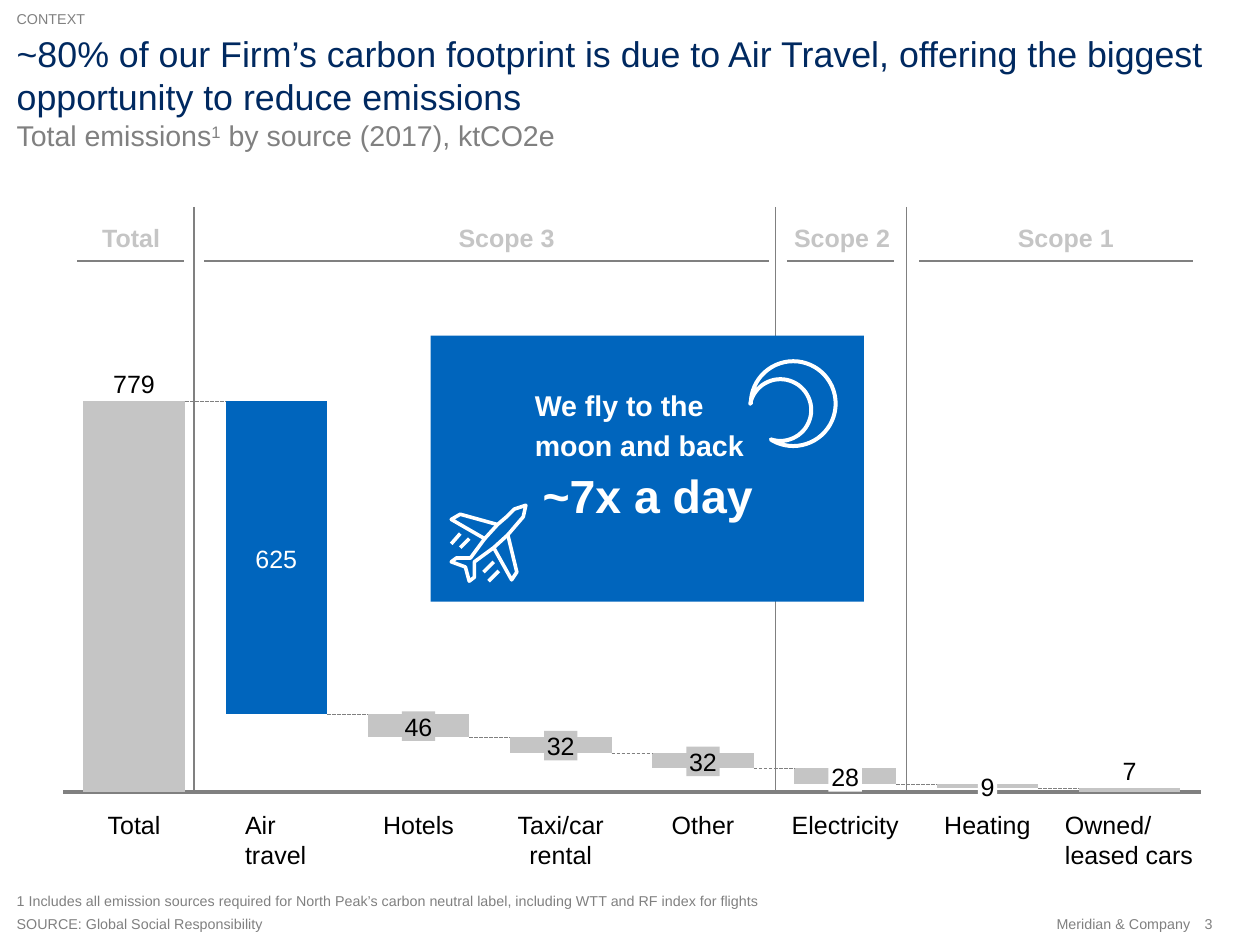
from math import cos, radians, sin
from pptx import Presentation
from pptx.chart.data import CategoryChartData
from pptx.dml.color import RGBColor
from pptx.enum.chart import XL_CHART_TYPE, XL_TICK_LABEL_POSITION, XL_TICK_MARK
from pptx.enum.dml import MSO_LINE
from pptx.enum.shapes import MSO_CONNECTOR, MSO_SHAPE
from pptx.enum.text import MSO_ANCHOR, PP_ALIGN
from pptx.oxml import parse_xml
from pptx.oxml.ns import nsdecls
from pptx.util import Inches, Pt

NAVY = RGBColor(0x00, 0x29, 0x60)
BLUE = RGBColor(0x00, 0x65, 0xBD)
GREY = RGBColor(0x80, 0x80, 0x80)
PALE = RGBColor(0xC5, 0xC5, 0xC5)
WHITE = RGBColor(0xFF, 0xFF, 0xFF)
BLACK = RGBColor(0x00, 0x00, 0x00)
FONT = "Arial"
LEFT, MID, RIGHT = PP_ALIGN.LEFT, PP_ALIGN.CENTER, PP_ALIGN.RIGHT

TITLE = ("~80% of our Firm’s carbon footprint is due to Air Travel, "
         "offering the biggest opportunity to reduce emissions")
NOTE = ("1 Includes all emission sources required for North Peak’s carbon "
        "neutral label, including WTT and RF index for flights")

# Text, place (left, top, width, height), size, colour, alignment
TEXTS = [
    ("CONTEXT", (0.13, 0.08, 2, 0.13), 8, GREY, LEFT),
    (TITLE, (0.13, 0.25, 9.47, 0.67), 20, NAVY, LEFT),
    (NOTE, (0.13, 6.94, 7.87, 0.13), 8, GREY, LEFT),
    ("SOURCE: Global Social Responsibility", (0.13, 7.12, 7.87, 0.13), 8, GREY, LEFT),
    ("Meridian & Company", (7.26, 7.12, 2, 0.13), 8, GREY, RIGHT),
    ("3", (9.37, 7.12, 0.14, 0.13), 8, GREY, LEFT),
]
# Name, rule from, rule to, centre of the name
SCOPES = [("Total", 0.6, 1.43, 1.02), ("Scope 3", 1.59, 5.98, 3.94),
          ("Scope 2", 6.12, 6.95, 6.55), ("Scope 1", 7.15, 9.28, 8.29)]
SPLITS = [1.51, 6.03, 7.05]

# Category, label, left indent (None: centred), label fill
BARS = [("Total", "779", None, None), ("Air\ntravel", "625", 0.31, None),
        ("Hotels", "46", None, PALE), ("Taxi/car\nrental", "32", None, PALE),
        ("Other", "32", None, PALE), ("Electricity", "28", None, WHITE),
        ("Heating", "9", None, WHITE), ("Owned/\nleased cars", "7", 0.05, None)]
BASE = [100, 20, 14, 10, 6, 2, 1, 1]
SERIES = [BASE, [None, 80, 6, 4, 1, 4, 1, None], [None] * 4 + [3] + [None] * 3]

PLANE = [
    [(4.09, 3.93), (4.0, 3.96), (3.94, 4.02), (3.87, 4.08), (3.58, 4.0), (3.51, 4.04),
     (3.77, 4.19), (3.66, 4.34), (3.55, 4.34), (3.51, 4.37), (3.62, 4.41), (3.65, 4.52),
     (3.69, 4.49), (3.69, 4.37), (3.84, 4.26), (3.98, 4.51), (4.02, 4.45), (3.95, 4.16),
     (4.01, 4.09), (4.07, 4.02), (4.09, 3.93)],
    [(3.87, 4.08), (3.77, 4.19)], [(3.84, 4.26), (3.95, 4.16)],
    [(3.51, 4.23), (3.58, 4.15)], [(3.58, 4.26), (3.65, 4.19)],
    [(3.8, 4.52), (3.88, 4.44)], [(3.76, 4.45), (3.84, 4.37)],
]

# Chart frame and the plot inside it
CHART = (0.4, 3.03, 9.03, 3.22)
PLOT = (0.01, 0.028, 0.98, 0.944)
LEAD = CHART[0] + PLOT[0] * CHART[2]
PITCH = PLOT[2] * CHART[2] / len(BARS)
TALL = PLOT[3] * CHART[3]
FLOOR = CHART[1] + PLOT[1] * CHART[3] + TALL
GAP = 40
HALF = PITCH / (1 + GAP / 100) / 2

deck = Presentation()
deck.slide_width, deck.slide_height = Inches(9.8), Inches(7.35)
slide = deck.slides.add_slide(deck.slide_layouts[6])
shapes = slide.shapes


def level(value):
    return FLOOR - TALL * value / 100


def centre(col):
    return LEAD + PITCH * (col + 0.5)


def style(font, **look):
    font.name = FONT
    font.color.rgb = look.pop("color")
    for key, value in look.items():
        setattr(font, key, value)


def panel(place, fill):
    box = shapes.add_shape(MSO_SHAPE.RECTANGLE, *(Inches(v) for v in place))
    box.shadow.inherit = False
    box.fill.solid()
    box.fill.fore_color.rgb = fill
    box.line.fill.background()
    return box


def write(text, place, size, color, align=LEFT, bold=False, fill=None, mid=False):
    box = panel(place, fill) if fill else shapes.add_textbox(*(Inches(v) for v in place))
    frame = box.text_frame
    anchor = MSO_ANCHOR.MIDDLE if mid else MSO_ANCHOR.TOP
    for key, value in {"margin_left": 0, "margin_right": 0, "margin_top": 0,
                       "margin_bottom": 0, "word_wrap": True,
                       "vertical_anchor": anchor}.items():
        setattr(frame, key, value)
    for i, line in enumerate(text.split("\n")):
        para = frame.add_paragraph() if i else frame.paragraphs[0]
        para.alignment = align
        run = para.add_run()
        run.text = line
        style(run.font, size=Pt(size), color=color, bold=bold)
    return frame


def rule(x1, y1, x2, y2, width=0.75, dash=None):
    line = shapes.add_connector(MSO_CONNECTOR.STRAIGHT, *(Inches(v) for v in (x1, y1, x2, y2)))
    line.line.color.rgb = GREY
    line.line.width = Pt(width)
    line.line.dash_style = dash
    line._element.spPr.append(parse_xml(f"<a:effectLst {nsdecls('a')}/>"))


def trace(points, width, close=False):
    """Draw a white outline through the points."""
    spots = [(Inches(x), Inches(y)) for x, y in points]
    pen = shapes.build_freeform(*spots[0])
    pen.add_line_segments(spots[1:], close=close)
    path = pen.convert_to_shape()
    path.shadow.inherit = False
    path.fill.background()
    path.line.color.rgb = WHITE
    path.line.width = Pt(width)


def arc(x, y, radius, start, stop, step):
    return [(x + radius * cos(radians(a)), y + radius * sin(radians(a)))
            for a in range(start, stop, step)]


def draw_heads():
    for item in TEXTS:
        write(*item)
    sub = write("Total emissions", (0.13, 0.92, 9.43, 0.27), 16, GREY).paragraphs[0]
    for text, lift in (("1", "30000"), (" by source (2017), ktCO2e", "0")):
        run = sub.add_run()
        run.text = text
        style(run.font, size=Pt(16), color=GREY)
        run._r.get_or_add_rPr().set("baseline", lift)
    for x in SPLITS:
        rule(x, 1.61, x, 6.15)
    for name, start, stop, mid in SCOPES:
        write(name, (mid - 0.5, 1.73, 1, 0.24), 14, PALE, MID, bold=True)
        rule(start, 2.03, stop, 2.03)


def draw_callout():
    panel((3.35, 2.61, 3.37, 2.07), BLUE)
    lines = write("We fly to the\nmoon and back\n~7x a day", (4.16, 3.02, 1.85, 1.06),
                  16, WHITE, bold=True).paragraphs
    for para in lines:
        para.space_before = Pt(3)
    lines[2].runs[0].font.size = Pt(26)
    lines[2]._p.get_or_add_pPr().set("marL", str(Inches(0.06)))
    trace(arc(6.17, 3.14, 0.33, -180, 123, 6) + arc(6.07, 3.19, 0.24, 108, -169, -6), 2.25, True)
    for points in PLANE:
        trace(points, 2)


def draw_chart():
    data = CategoryChartData()
    data.categories = [str(i + 1) for i in range(len(BARS))]
    for i, values in enumerate(SERIES):
        data.add_series(f"Series {i + 1}", values)
    chart = shapes.add_chart(XL_CHART_TYPE.COLUMN_STACKED, *(Inches(v) for v in CHART), data).chart
    style(chart.font, size=Pt(10), color=BLACK)
    chart.has_legend = chart.has_title = False
    plot = chart.plots[0]
    plot.gap_width, plot.overlap, plot.vary_by_categories = GAP, 100, False
    cats, vals = chart.category_axis, chart.value_axis
    cats.tick_label_position = XL_TICK_LABEL_POSITION.NONE
    cats.major_tick_mark = XL_TICK_MARK.NONE
    cats.format.line.color.rgb = GREY
    cats.format.line.width = Pt(2.25)
    vals.minimum_scale, vals.maximum_scale = 0, 100
    vals.has_major_gridlines = vals.visible = False
    for i, series in enumerate(plot.series):
        fill = series.format.fill
        if i:
            fill.solid()
            fill.fore_color.rgb = PALE
        else:
            fill.background()
    for row, col, color in ((0, 0, PALE), (0, 7, PALE), (1, 1, BLUE)):
        fill = plot.series[row].points[col].format.fill
        fill.solid()
        fill.fore_color.rgb = color
    sizes = "".join(f'<c:{key} val="{v}"/>' for key, v in zip("xywh", PLOT))
    area = chart._chartSpace.chart.plotArea
    for old in area.findall("{*}layout"):
        area.remove(old)
    area.insert(0, parse_xml(
        f'<c:layout {nsdecls("c")}><c:manualLayout><c:layoutTarget val="inner"/>'
        f'<c:xMode val="edge"/><c:yMode val="edge"/>{sizes}</c:manualLayout></c:layout>'))


def draw_labels():
    last = len(BARS) - 1
    for col, (name, label, indent, fill) in enumerate(BARS):
        x = centre(col)
        if col < last:
            y = level(BASE[col])
            rule(x + HALF, y, centre(col + 1) - HALF, y, 0.25, MSO_LINE.LONG_DASH)
        top = sum(values[col] or 0 for values in SERIES)
        y = level(top) - 0.14 if col in (0, last) else level((top + BASE[col]) / 2)
        wide = 0.04 + 0.11 * len(label)
        write(label, (x - wide / 2, y - 0.11, wide, 0.23), 14,
              WHITE if col == 1 else BLACK, MID, fill=fill, mid=True)
        frame = write(name, (x - PITCH / 2, 6.3, PITCH, 0.47), 14, BLACK,
                      LEFT if indent else MID)
        frame.margin_left = Inches(indent or 0)


draw_heads()
draw_callout()
draw_chart()
draw_labels()
deck.save("out.pptx")
